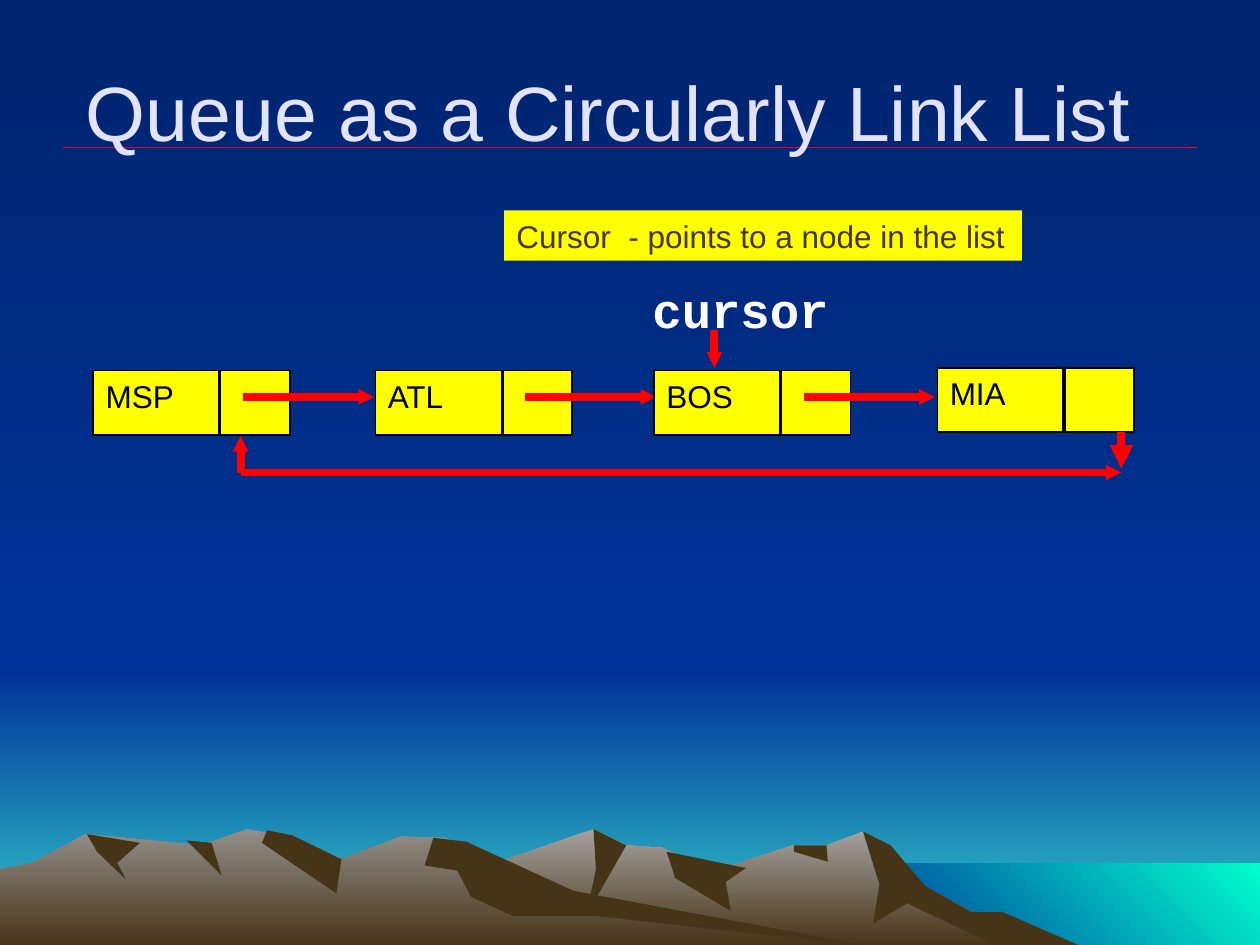
from lxml import etree
from pptx import Presentation
from pptx.dml.color import RGBColor
from pptx.enum import shapes as kinds, text as modes
from pptx.oxml.ns import qn
from pptx.util import Inches, Pt

NIGHT = RGBColor(0x00, 0x24, 0x6D)
BLUE = RGBColor(0x00, 0x33, 0x99)
TEAL = RGBColor(0x33, 0xCC, 0xCC)
AQUA = RGBColor(0x00, 0xFF, 0xCC)
STONE = RGBColor(0xA5, 0xA2, 0x9F)
ROCK = RGBColor(0x93, 0x8F, 0x8B)
BROWN = RGBColor(0x46, 0x34, 0x16)
LILAC = RGBColor(0xE3, 0xE3, 0xFF)
YELLOW = RGBColor(0xFF, 0xFF, 0x00)
RED = RGBColor(0xFF, 0x00, 0x00)
CRIMSON = RGBColor(0xEF, 0x01, 0x29)
BLACK = RGBColor(0x00, 0x00, 0x00)
WHITE = RGBColor(0xFF, 0xFF, 0xFF)
DOWN, UPRIGHT = 270, 45

deck = Presentation()
deck.slide_width, deck.slide_height = Inches(10), Inches(7.5)
slide = deck.slides.add_slide(deck.slide_layouts[5])
art = slide.shapes
title = art.title


def write(shape, words, size=18, font="Arial", color=BLACK, bold=False,
          align=modes.PP_ALIGN.LEFT, anchor=modes.MSO_ANCHOR.TOP, wrap=True):
    frame = shape.text_frame
    frame.word_wrap, frame.vertical_anchor = wrap, anchor
    para = frame.paragraphs[0]
    para.alignment = align
    run = para.add_run()
    run.text = words
    run.font.size, run.font.name, run.font.bold = Pt(size), font, bold
    run.font.color.rgb = color


def join(x1, y1, x2, y2, color=RED, width=4.5, head="sm"):
    """Draw a straight line; head is the arrowhead size at its end, or None."""
    line = art.add_connector(kinds.MSO_CONNECTOR.STRAIGHT,
                             Inches(x1), Inches(y1), Inches(x2), Inches(y2))
    line.line.color.rgb, line.line.width = color, Pt(width)
    if head:
        etree.SubElement(line._element.spPr.get_or_add_ln(), qn("a:tailEnd"),
                         type="triangle", w=head, len=head)
    etree.SubElement(line._element.spPr, qn("a:effectLst"))


# Sky and sea bands, then the slide background
fills = [(slide.background.fill, NIGHT, BLUE, DOWN)]
for left, top, base, first, last, angle in [
        (0, 5.33, 7.5, BLUE, TEAL, DOWN),
        (0, 0, 5.33, NIGHT, BLUE, DOWN),
        (6.83, 6.85, 7.5, BLUE, AQUA, UPRIGHT)]:
    band = art.add_shape(kinds.MSO_SHAPE.RECTANGLE, Inches(left), Inches(top),
                         Inches(10 - left), Inches(base - top))
    band.shadow.inherit = False
    band.line.fill.background()
    fills.append((band.fill, first, last, angle))

# Mountains and their shaded faces, in hundredths of an inch
for light, (start, *rest) in [
        (STONE, [(258, 751), (394, 685), (471, 658), (497, 671), (526, 673),
                 (566, 692), (629, 671), (656, 671), (685, 660), (723, 698),
                 (821, 751)]),
        (None, [(685, 660), (707, 671), (734, 703), (771, 724), (796, 724),
                (858, 751), (792, 751), (720, 717), (693, 733), (698, 702)]),
        (None, [(471, 658), (497, 671), (465, 727), (473, 690)]),
        (None, [(529, 676), (592, 689), (576, 700), (580, 723), (536, 697)]),
        (None, [(630, 671), (656, 671), (657, 684), (630, 676)]),
        (ROCK, [(0, 751), (0, 690), (26, 685), (68, 662), (160, 671),
                (196, 658), (223, 663), (271, 682), (318, 664), (354, 665),
                (432, 712), (690, 751)]),
        (None, [(212, 659), (232, 663), (271, 682), (267, 709), (208, 669)]),
        (None, [(344, 665), (370, 668), (455, 707), (690, 751), (472, 727),
                (407, 727), (374, 712), (363, 691), (337, 687)]),
        (None, [(148, 667), (168, 669), (176, 695)]),
        (None, [(69, 662), (111, 669), (93, 685), (100, 698), (77, 676)])]:
    pen = art.build_freeform(*start, scale=Inches(0.01))
    pen.add_line_segments(rest)
    hill = pen.convert_to_shape()
    hill.shadow.inherit = False
    hill.line.fill.background()
    if light:
        fills.append((hill.fill, light, BROWN, DOWN))
    else:
        hill.fill.solid()
        hill.fill.fore_color.rgb = BROWN

for fill, first, last, angle in fills:
    fill.gradient()
    fill.gradient_angle = angle
    for stop, color in zip(fill.gradient_stops, (first, last)):
        stop.color.rgb = color

# Title above its rule
join(0.5, 1.17, 9.5, 1.17, color=CRIMSON, width=0.75, head=None)
art._spTree.append(title._element)
title.left, title.top = Inches(0.5), Inches(0.25)
title.width, title.height = Inches(9), Inches(1.25)
title.text_frame.margin_right = Inches(0.44)
write(title, "Queue as a Circularly Link List", size=44, color=LILAC,
      align=modes.PP_ALIGN.CENTER, anchor=modes.MSO_ANCHOR.MIDDLE)

label = art.add_textbox(Inches(5.08), Inches(2.17), Inches(1.61), Inches(0.57))
write(label, "cursor", size=28, font="Courier New", color=WHITE, bold=True,
      wrap=False)

# Each node is a data cell and a link cell
nodes = [("MSP", 0.74, 2.94), ("ATL", 2.98, 2.94),
         ("BOS", 5.19, 2.94), ("MIA", 7.44, 2.92)]
for name, x, y in nodes:
    for left, width, words in ((x, 1, name), (x + 1.01, 0.55, "")):
        cell = art.add_shape(kinds.MSO_SHAPE.RECTANGLE, Inches(left), Inches(y),
                             Inches(width), Inches(0.51))
        cell.shadow.inherit = False
        cell.fill.solid()
        cell.fill.fore_color.rgb = YELLOW
        cell.line.color.rgb, cell.line.width = BLACK, Pt(1)
        if words:
            write(cell, words)
    if name != "MIA":
        join(x + 1.19, 3.15, x + 2.23, 3.15)

# Cursor pointer, then the link back to the first node
join(5.67, 2.62, 5.67, 2.92)
join(8.9, 3.43, 8.9, 3.72, head="med")
join(1.91, 3.75, 8.9, 3.75)
join(1.91, 3.75, 1.91, 3.46)

note = art.add_textbox(Inches(4), Inches(1.67), Inches(4.11), Inches(0.4))
note.fill.solid()
note.fill.fore_color.rgb = YELLOW
write(note, "Cursor  - points to a node in the list", color=BROWN, wrap=False)

deck.save("out.pptx")
